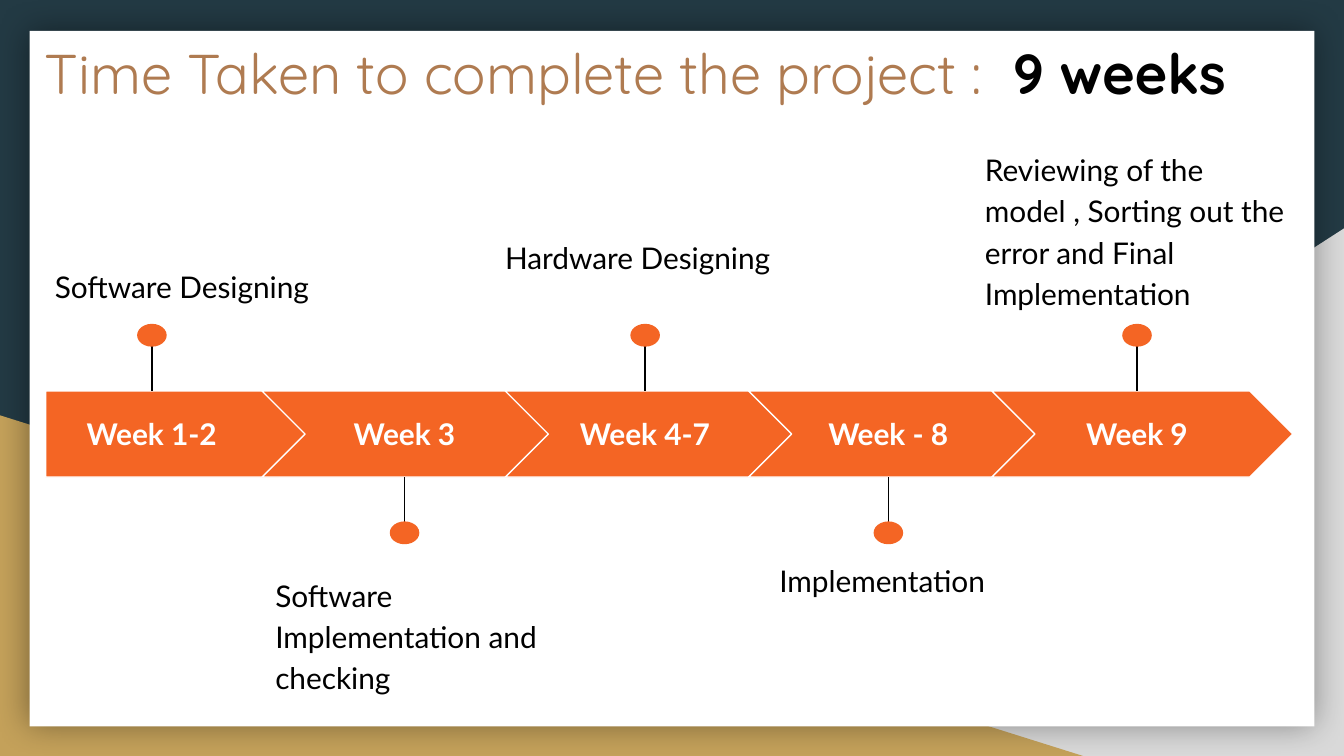
from dataclasses import dataclass

from lxml import etree
from pptx import Presentation
from pptx import util as u
from pptx.dml.color import RGBColor
from pptx.enum import shapes, text
from pptx.oxml.ns import qn

W, H = 10, 5.625
# Band grid: equal steps between the arrow columns
BAND_TOP, BAND_H = 2.91, 0.64
FIRST_LEFT, FIRST_W = 0.34, 2.05
COL_LEFT, COL_STEP, COL_W = 0.14, 1.81, 2.24
LABEL_TOP, LABEL_W, LABEL_H = 3.03, 1.6, 0.4
PIN_LEN, DOT_W, DOT_H = 0.48, 0.22, 0.17


@dataclass(frozen=True)
class Theme:
    dark: str = "233A44"
    grey: str = "D9D9D9"
    gold: str = "C4A15A"
    white: str = "FFFFFF"
    black: str = "000000"
    brown: str = "AF7B51"
    orange: str = "F46524"
    title_font: str = "Quicksand"
    body_font: str = "Lato"
    title_size: int = 30
    body_size: int = 16
    line: float = 0.75


T = Theme()

# Week, pin centre, pin above the band, note, note box
STAGES = [
    ("Week 1-2", 1.13, True, "Software Designing", (0.31, 1.86, 2.45, 0.77)),
    ("Week 3", 3.01, False, "Software Implementation and checking",
     (1.95, 4.16, 2.45, 1.04)),
    ("Week 4-7", 4.8, True, "Hardware Designing", (3.66, 1.64, 2.45, 0.77)),
    ("Week - 8", 6.61, False, "Implementation", (5.7, 4.05, 1.81, 0.27)),
    ("Week 9", 8.46, True,
     "Reviewing of the model , Sorting out the error and Final Implementation",
     (7.23, 0.99, 2.45, 1.42)),
]


def inches(*values):
    return [u.Inches(v) for v in values]


def apply(obj, **formats):
    for name, value in formats.items():
        setattr(obj, name, value)


def add_shape(parent, kind, box, fill, line=None):
    sp = parent.add_shape(kind, *inches(*box))
    sp.shadow.inherit = False
    sp.fill.solid()
    sp.fill.fore_color.rgb = RGBColor.from_string(fill)
    if line:
        sp.line.color.rgb = RGBColor.from_string(line)
        sp.line.width = u.Pt(T.line)
    else:
        sp.line.fill.background()
    return sp


def add_run(p, words, font, size, color, bold=False):
    r = p.add_run()
    r.text = words
    apply(r.font, name=font, size=u.Pt(size), bold=bold)
    r.font.color.rgb = RGBColor.from_string(color)


def format_frame(tf, anchor):
    pad = u.Inches(0.1)
    apply(tf, word_wrap=True, auto_size=text.MSO_AUTO_SIZE.NONE,
          vertical_anchor=anchor, margin_left=pad, margin_right=pad,
          margin_top=pad, margin_bottom=pad)


def add_text(s, words, box, color, anchor, bold=False, **paragraph):
    tf = s.shapes.add_textbox(*inches(*box)).text_frame
    format_frame(tf, anchor)
    p = tf.paragraphs[0]
    apply(p, **paragraph)
    add_run(p, words, T.body_font, T.body_size, color, bold)


def add_soft_shadow(sp):
    effects = sp._element.spPr.find(qn("a:effectLst"))
    shadow = etree.SubElement(effects, qn("a:outerShdw"),
                              blurRad=str(u.Pt(18)), dist="0", dir="0",
                              algn="ctr", rotWithShape="0")
    color = etree.SubElement(shadow, qn("a:srgbClr"), val=T.black)
    etree.SubElement(color, qn("a:alpha"), val="40000")


def add_backdrop(s):
    s.background.fill.solid()
    s.background.fill.fore_color.rgb = RGBColor.from_string(T.dark)
    triangle = shapes.MSO_SHAPE.RIGHT_TRIANGLE
    right = add_shape(s.shapes, triangle, (3.92, 1.7, W - 3.92, H - 1.7), T.grey)
    right._element.spPr.find(qn("a:xfrm")).set("flipH", "1")
    add_shape(s.shapes, triangle, (0, 3.09, 8.06, H - 3.09), T.gold)
    card = add_shape(s.shapes, shapes.MSO_SHAPE.RECTANGLE,
                     (0.22, 0.23, W - 0.44, H - 0.45), T.white)
    add_soft_shadow(card)


def add_title(s):
    sp = s.shapes.title
    left, top, width, height = inches(0.23, 0.19, 9.53, 0.64)
    apply(sp, left=left, top=top, width=width, height=height)
    # Bring the title in front of the backdrop
    s.shapes._spTree.append(sp._element)
    format_frame(sp.text_frame, text.MSO_ANCHOR.TOP)
    p = sp.text_frame.paragraphs[0]
    p.alignment = text.PP_ALIGN.LEFT
    add_run(p, "Time Taken to complete the project :  ",
            T.title_font, T.title_size, T.brown)
    add_run(p, "9 weeks", T.title_font, T.title_size, T.black, True)


def add_arrow(s, column):
    if column == 0:
        kind, left, width = shapes.MSO_SHAPE.PENTAGON, FIRST_LEFT, FIRST_W
    else:
        kind, width = shapes.MSO_SHAPE.CHEVRON, COL_W
        left = COL_LEFT + column * COL_STEP
    add_shape(s.shapes, kind, (left, BAND_TOP, width, BAND_H), T.orange, T.white)


def add_pin(s, x, above):
    group = s.shapes.add_group_shape().shapes
    if above:
        edge, tip, dot_top = BAND_TOP, BAND_TOP - PIN_LEN, 2.41
    else:
        edge = BAND_TOP + BAND_H
        tip, dot_top = edge + PIN_LEN, 3.88
    line = group.add_connector(shapes.MSO_CONNECTOR.STRAIGHT,
                               *inches(x, tip, x, edge))
    line.line.color.rgb = RGBColor.from_string(T.black)
    line.line.width = u.Pt(T.line)
    etree.SubElement(line._element.spPr, qn("a:effectLst"))
    add_shape(group, shapes.MSO_SHAPE.OVAL,
              (x - DOT_W / 2, dot_top, DOT_W, DOT_H), T.orange)


def add_stage(s, column, week, x, above, note, note_box):
    add_arrow(s, column)
    add_text(s, week, (x - LABEL_W / 2, LABEL_TOP, LABEL_W, LABEL_H), T.white,
             text.MSO_ANCHOR.MIDDLE, True, alignment=text.PP_ALIGN.CENTER)
    add_pin(s, x, above)
    add_text(s, note, note_box, T.black, text.MSO_ANCHOR.TOP,
             line_spacing=1.15, space_after=u.Pt(16))


def main():
    prs = Presentation()
    prs.slide_width, prs.slide_height = inches(W, H)
    s = prs.slides.add_slide(prs.slide_layouts.get_by_name("Title Only"))
    add_backdrop(s)
    add_title(s)
    for column, stage in enumerate(STAGES):
        add_stage(s, column, *stage)
    prs.save("out.pptx")


if __name__ == "__main__":
    main()
